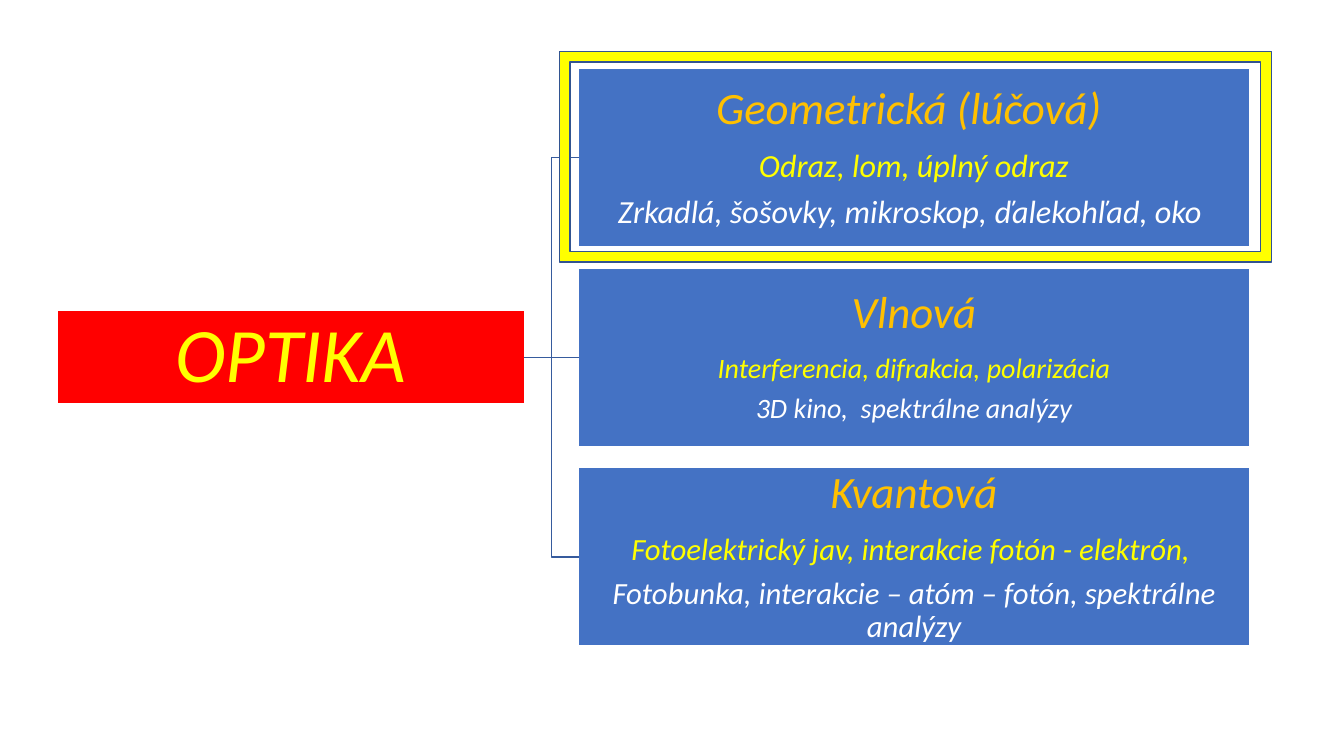
"""Builds a slide with the three branches of optics as a tree."""
from lxml import etree
from pptx import Presentation
from pptx.dml.color import RGBColor
from pptx.enum.shapes import MSO_CONNECTOR as Link, MSO_SHAPE as Shape
from pptx.enum.text import MSO_ANCHOR as Anchor, PP_ALIGN as Align
from pptx.oxml.ns import qn
from pptx.util import Inches, Pt

RED = RGBColor(0xFF, 0x00, 0x00)
BLUE = RGBColor(0x44, 0x72, 0xC4)
LINK_BLUE = RGBColor(0x36, 0x5B, 0x9D)
FRAME_BLUE = RGBColor(0x32, 0x54, 0x91)
YELLOW = RGBColor(0xFF, 0xFF, 0x00)
GOLD = RGBColor(0xFF, 0xC0, 0x00)
WHITE = RGBColor(0xFF, 0xFF, 0xFF)

FONT = "Calibri"
BRANCH_LEFT, BRANCH_TOP, BRANCH_PITCH = 5.74, 0.68, 1.98
BRANCH_WIDTH, BRANCH_HEIGHT = 6.65, 1.77
BRANCHES = [
    ("Geometrická (lúčová) ", "Odraz, lom, úplný odraz",
     "Zrkadlá, šošovky, mikroskop, ďalekohľad, oko ", 23),
    ("Vlnová", "Interferencia, difrakcia, polarizácia",
     "3D kino,  spektrálne analýzy", 20),
    ("Kvantová", "Fotoelektrický jav, interakcie fotón - elektrón, ",
     "Fotobunka, interakcie – atóm – fotón, spektrálne analýzy", 22),
]


def add_block(slide, kind, box, fill, outline):
    """Add a filled preset shape with a thin outline."""
    block = slide.shapes.add_shape(kind, *(Inches(side) for side in box))
    block.shadow.inherit = False
    block.fill.solid()
    block.fill.fore_color.rgb = fill
    block.line.color.rgb = outline
    block.line.width = Pt(1)
    return block


def add_node(slide, box, fill, lines, inset):
    """Add a tree node whose lines are (text, size, colour)."""
    node = add_block(slide, Shape.RECTANGLE, box, fill, WHITE)
    frame = node.text_frame
    frame.word_wrap = True
    frame.vertical_anchor = Anchor.MIDDLE
    frame.margin_left = frame.margin_right = Inches(inset)
    frame.margin_top = frame.margin_bottom = Inches(inset)
    for index, (text, size, colour) in enumerate(lines):
        paragraph = frame.add_paragraph() if index else frame.paragraphs[0]
        paragraph.alignment = Align.CENTER
        paragraph.line_spacing = 0.9
        paragraph.space_after = Pt(0.35 * size)
        run = paragraph.add_run()
        run.text = text
        run.font.name = FONT
        run.font.size = Pt(size)
        run.font.italic = True
        run.font.color.rgb = colour
    return node


def link_nodes(slide, root, branch, kind):
    """Join the right side of the root to the left side of a branch."""
    link = slide.shapes.add_connector(kind, 0, 0, 0, 0)
    link.begin_connect(root, 3)
    link.end_connect(branch, 1)
    link.line.color.rgb = LINK_BLUE
    link.line.width = Pt(1)
    etree.SubElement(link._element.spPr, qn("a:effectLst"))


def main():
    """Build and save the slide."""
    deck = Presentation()
    deck.slide_width, deck.slide_height = Inches(13.33), Inches(7.5)
    slide = deck.slides.add_slide(deck.slide_layouts[6])

    optics = add_node(slide, (0.57, 3.08, 4.63, 0.93), RED,
                      [("OPTIKA", 55, YELLOW)], 0.04)
    for row, (name, phenomena, uses, size) in enumerate(BRANCHES):
        box = (BRANCH_LEFT, BRANCH_TOP + row * BRANCH_PITCH,
               BRANCH_WIDTH, BRANCH_HEIGHT)
        lines = [(name, 32, GOLD), (phenomena, size, YELLOW),
                 (uses, size, WHITE)]
        branch = add_node(slide, box, BLUE, lines, 0.02)
        link_nodes(slide, optics, branch,
                   Link.STRAIGHT if row == 1 else Link.ELBOW)

    highlight = add_block(slide, Shape.FRAME, (5.55, 0.51, 7.06, 2.09),
                          YELLOW, FRAME_BLUE)
    highlight.adjustments[0] = 0.05
    deck.save("out.pptx")


if __name__ == "__main__":
    main()
